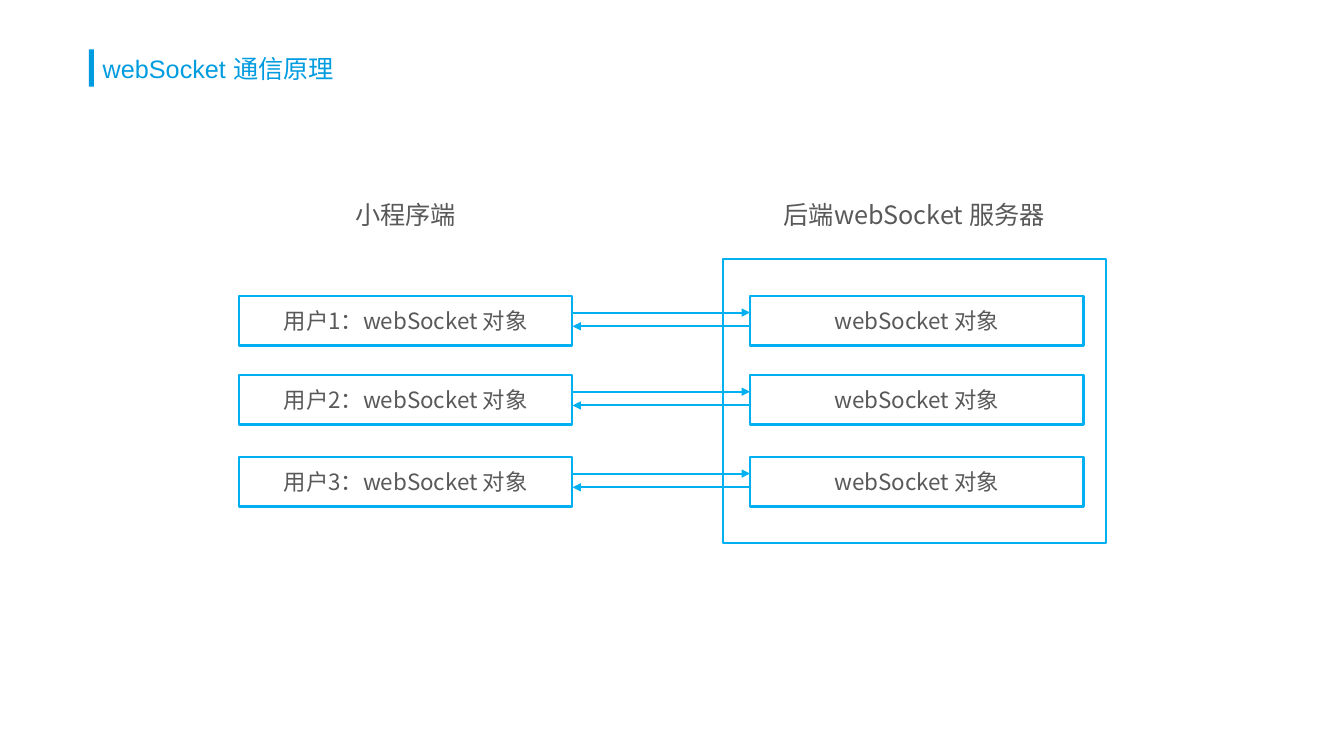
from dataclasses import dataclass

import pptx
import pptx.dml.color
import pptx.enum.shapes
import pptx.enum.text
import pptx.oxml
import pptx.oxml.ns
import pptx.shapes.autoshape
import pptx.slide
import pptx.text.text
import pptx.util

Pt = pptx.util.Pt
RGBColor = pptx.dml.color.RGBColor
PP_ALIGN = pptx.enum.text.PP_ALIGN
MSO_ANCHOR = pptx.enum.text.MSO_ANCHOR
MSO_SHAPE = pptx.enum.shapes.MSO_SHAPE

TITLE_BLUE = RGBColor(0x00, 0x9C, 0xE0)
LINE_BLUE = RGBColor(0x00, 0xB0, 0xF0)
TEXT_GREY = RGBColor(0x59, 0x59, 0x59)
LATIN_TITLE_FONT = "Arial"
BODY_FONT = "Noto Sans CJK SC"

LINE_WIDTH = 1.5
CLIENT_LEFT = 170.6
SERVER_LEFT = 535.7
BOX_WIDTH = 238.3
BOX_HEIGHT = 35.3
HEADING_TOP = 139
HEADING_HEIGHT = 29
SEND_OFFSET = 11.8
REPLY_OFFSET = 21.6


@dataclass(frozen=True)
class Area:
    left: float
    top: float
    width: float
    height: float

    def lengths(self) -> list[pptx.util.Length]:
        return [Pt(value) for value in (self.left, self.top, self.width, self.height)]


@dataclass(frozen=True)
class Heading:
    text: str
    area: Area


@dataclass(frozen=True)
class Connection:
    client: str
    server: str
    top: float


SERVER_FRAME = Area(516.2, 185, 273.6, 203)
HEADINGS = [
    Heading("后端webSocket 服务器", Area(SERVER_FRAME.left, HEADING_TOP, SERVER_FRAME.width, HEADING_HEIGHT)),
    Heading("小程序端", Area(CLIENT_LEFT, HEADING_TOP, BOX_WIDTH, HEADING_HEIGHT)),
]
CONNECTIONS = [
    Connection(f"用户{number}：webSocket 对象", "webSocket 对象", top)
    for number, top in enumerate((211.5, 268, 326.5), start=1)
]


def write_text(frame: pptx.text.text.TextFrame, text: str, size: float, color: RGBColor,
               font: str, align: PP_ALIGN) -> None:
    frame.text = text
    frame.word_wrap = True
    para = frame.paragraphs[0]
    para.alignment = align
    for span in para.runs:
        span.font.size = Pt(size)
        span.font.name = font
        span.font.color.rgb = color
        east_asian = pptx.oxml.parse_xml(
            f'<a:ea {pptx.oxml.ns.nsdecls("a")} typeface="{BODY_FONT}"/>')
        span.font._element.find(pptx.oxml.ns.qn("a:latin")).addnext(east_asian)


def add_outline(page: pptx.slide.Slide, area: Area) -> pptx.shapes.autoshape.Shape:
    box = page.shapes.add_shape(MSO_SHAPE.RECTANGLE, *area.lengths())
    box.shadow.inherit = False
    box.fill.background()
    box.line.color.rgb = LINE_BLUE
    box.line.width = Pt(LINE_WIDTH)
    return box


def add_labelled_box(page: pptx.slide.Slide, text: str, left: float, top: float) -> None:
    box = add_outline(page, Area(left, top, BOX_WIDTH, BOX_HEIGHT))
    box.text_frame.vertical_anchor = MSO_ANCHOR.MIDDLE
    write_text(box.text_frame, text, 16, TEXT_GREY, BODY_FONT, PP_ALIGN.CENTER)


def add_arrow(page: pptx.slide.Slide, start: float, end: float, height: float) -> None:
    arrow = page.shapes.add_connector(
        pptx.enum.shapes.MSO_CONNECTOR.STRAIGHT, Pt(start), Pt(height), Pt(end), Pt(height))
    arrow.line.color.rgb = LINE_BLUE
    arrow.line.width = Pt(LINE_WIDTH)
    namespace = pptx.oxml.ns.nsdecls("a")
    arrow.line._get_or_add_ln().append(
        pptx.oxml.parse_xml(f'<a:tailEnd {namespace} type="triangle"/>'))
    arrow._element.spPr.append(pptx.oxml.parse_xml(f"<a:effectLst {namespace}/>"))


def add_heading(page: pptx.slide.Slide, heading: Heading) -> None:
    box = page.shapes.add_textbox(*heading.area.lengths())
    write_text(box.text_frame, heading.text, 18, TEXT_GREY, BODY_FONT, PP_ALIGN.CENTER)


def add_connection(page: pptx.slide.Slide, connection: Connection) -> None:
    add_labelled_box(page, connection.server, SERVER_LEFT, connection.top)
    add_labelled_box(page, connection.client, CLIENT_LEFT, connection.top)
    client_right = CLIENT_LEFT + BOX_WIDTH
    add_arrow(page, client_right, SERVER_LEFT, connection.top + SEND_OFFSET)
    add_arrow(page, SERVER_LEFT, client_right, connection.top + REPLY_OFFSET)


def add_title(page: pptx.slide.Slide) -> None:
    accent = page.shapes.add_shape(MSO_SHAPE.RECTANGLE, *Area(63.5, 35.3, 3.6, 26.6).lengths())
    accent.shadow.inherit = False
    accent.fill.solid()
    accent.fill.fore_color.rgb = TITLE_BLUE
    accent.line.fill.background()
    title = page.shapes.title
    title.left, title.top, title.width, title.height = Area(66.2, 28.8, 828, 42.5).lengths()
    frame = title.text_frame
    frame.auto_size = pptx.enum.text.MSO_AUTO_SIZE.NONE
    frame.vertical_anchor = MSO_ANCHOR.MIDDLE
    write_text(frame, "webSocket 通信原理", 18, TITLE_BLUE, LATIN_TITLE_FONT, PP_ALIGN.LEFT)
    frame.paragraphs[0].line_spacing = 0.9


def main() -> None:
    deck = pptx.Presentation()
    deck.slide_width = Pt(960)
    deck.slide_height = Pt(540)
    page = deck.slides.add_slide(deck.slide_layouts.get_by_name("Title Only"))
    add_title(page)
    add_outline(page, SERVER_FRAME)
    for heading in HEADINGS:
        add_heading(page, heading)
    for connection in CONNECTIONS:
        add_connection(page, connection)
    deck.save("out.pptx")


if __name__ == "__main__":
    main()
